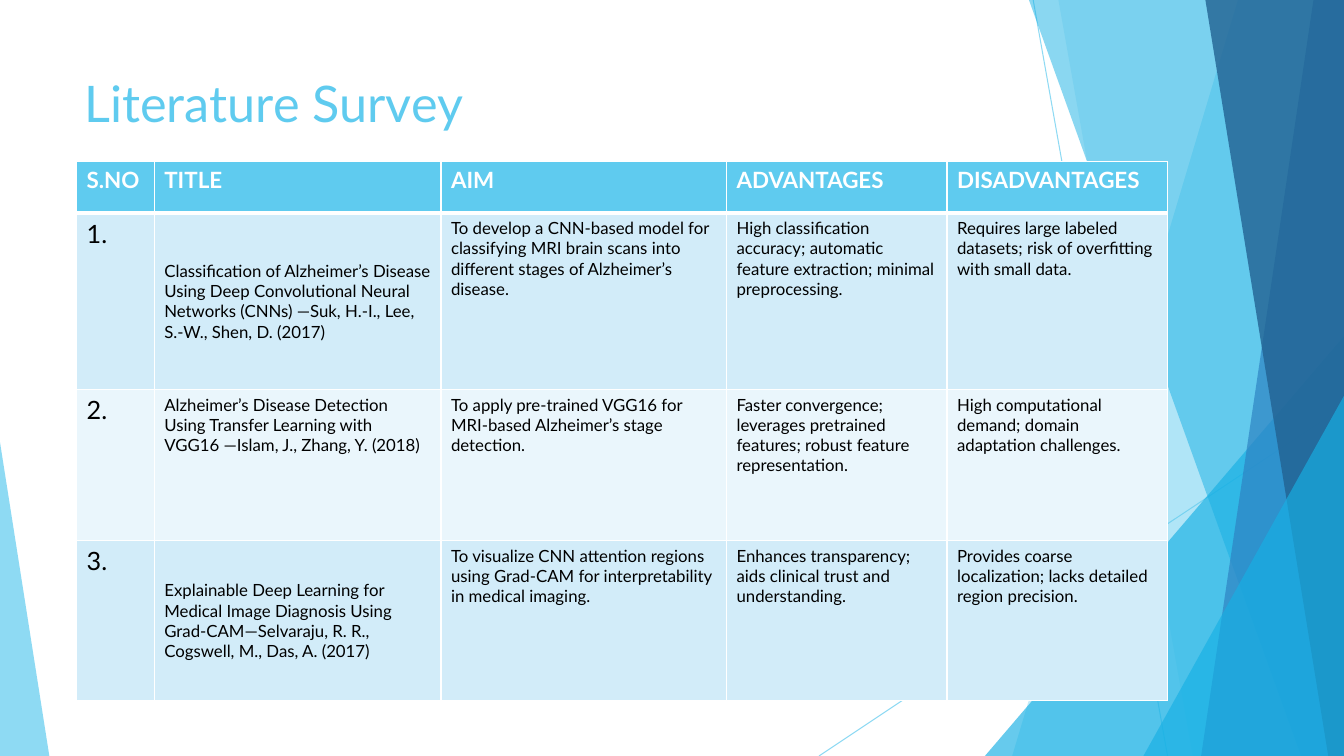
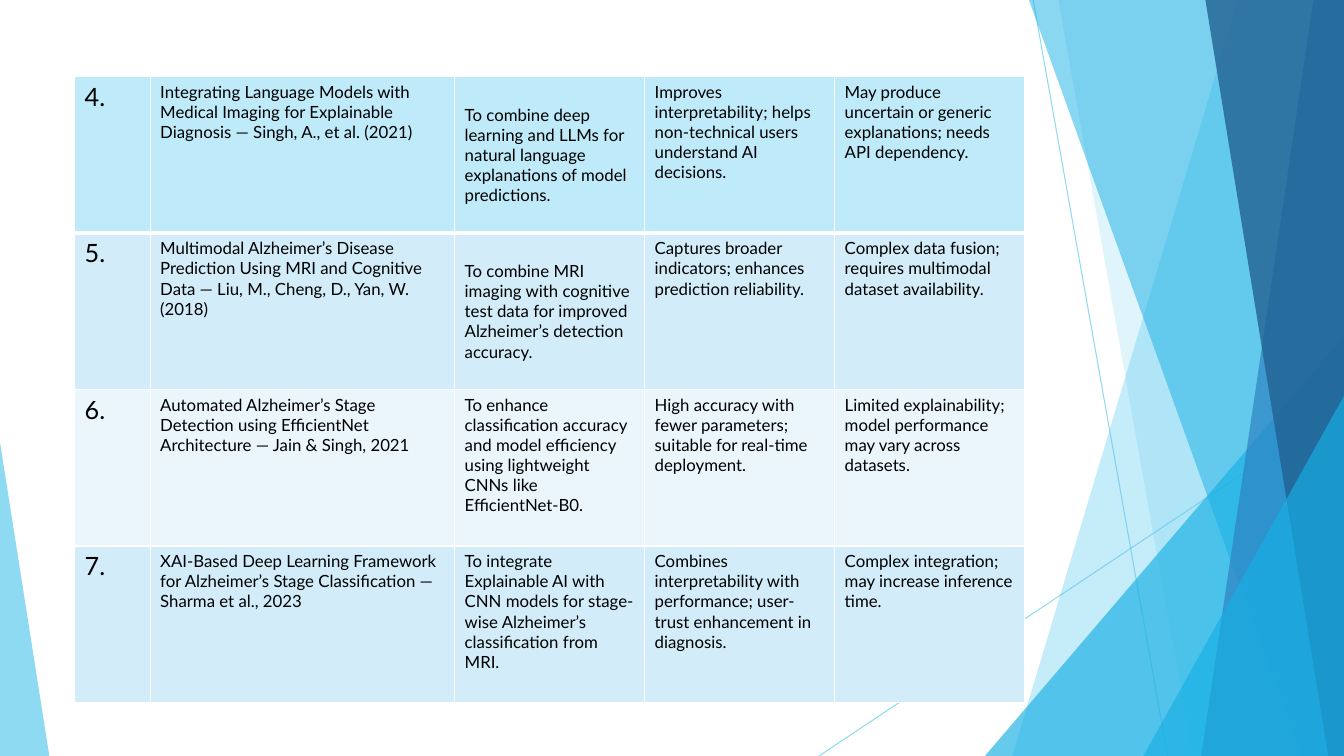
from dataclasses import dataclass
from typing import Optional

from lxml.etree import SubElement
from pptx import Presentation
from pptx.dml.color import RGBColor
from pptx.enum.shapes import MSO_CONNECTOR as Connector, MSO_SHAPE as Shape
from pptx.enum.text import MSO_ANCHOR as Anchor
from pptx.oxml.ns import qn
from pptx.util import Pt

# Shared measures, colours and text formats
EMU_PER_PX = 9525
WIDTH, HEIGHT = 1280, 720
SKY, CYAN, BLUE, NAVY = "5FCBEF", "17B0E4", "2E83C3", "226292"
WHITE, BLACK = "FFFFFF", "000000"
BAND_DARK, BAND_LIGHT, BAND_FIRST = "D2ECF9", "EAF6FC", "BFEAF9"
FONT = "Lato"
TITLE_FORMAT = {"name": FONT, "size": Pt(36), "bold": False}
HEADER_FORMAT = {"name": FONT, "size": Pt(16), "bold": True}
NUMBER_FORMAT = {"name": FONT, "size": Pt(18), "bold": False}
BODY_FORMAT = {"name": FONT, "size": Pt(12), "bold": False}


@dataclass(frozen=True)
class Ray:
    start: tuple[int, int]
    end: tuple[int, int]


@dataclass(frozen=True)
class Panel:
    """Full-height panel at the right edge, with one slanted side."""
    top_x: int
    bottom_x: int
    color: str
    opacity: int


@dataclass(frozen=True)
class Wedge:
    """Right-angled triangle standing on the bottom edge."""
    left: int
    top: int
    width: int
    apex: float
    color: str
    opacity: int


@dataclass(frozen=True)
class Row:
    texts: tuple[str, ...]
    fill: str
    height: int
    header: bool = False
    middle_column: Optional[int] = None


@dataclass(frozen=True)
class Survey:
    left: int
    top: int
    columns: tuple[int, ...]
    rows: tuple[Row, ...]


# Backdrop, from back to front
RAYS = (Ray((984, 0), (1112, HEIGHT)), Ray((WIDTH, 387), (780, HEIGHT)))
BACKDROP = (
    Panel(1179, 964, SKY, 36),
    Panel(1008, 1136, SKY, 20),
    Wedge(938, 320, 342, 1, CYAN, 66),
    Panel(980, 1239, CYAN, 50),
    Panel(1251, 1144, BLUE, 70),
    Panel(1148, 1265, NAVY, 80),
    Wedge(1089, 377, 191, 1, CYAN, 66),
    Wedge(0, 421, 47, 0, SKY, 70),
)

# Table contents
FIRST_SURVEY = Survey(73, 154, (74, 273, 272, 210, 210), (
    Row(("S.NO", "TITLE", "AIM", "ADVANTAGES", "DISADVANTAGES"), SKY, 49, header=True),
    Row(("1.",
         "Classification of Alzheimer’s Disease Using Deep Convolutional Neural Networks "
         "(CNNs) —Suk, H.-I., Lee, S.-W., Shen, D. (2017)",
         "To develop a CNN-based model for classifying MRI brain scans into different "
         "stages of Alzheimer’s disease.",
         "High classification accuracy; automatic feature extraction; minimal preprocessing.",
         "Requires large labeled datasets; risk of overfitting with small data."),
        BAND_DARK, 168, middle_column=1),
    Row(("2.",
         "Alzheimer’s Disease Detection Using Transfer Learning with VGG16 "
         "—Islam, J., Zhang, Y. (2018)",
         "To apply pre-trained VGG16 for MRI-based Alzheimer’s stage detection.",
         "Faster convergence; leverages pretrained features; robust feature representation.",
         "High computational demand; domain adaptation challenges."),
        BAND_LIGHT, 144),
    Row(("3.",
         "Explainable Deep Learning for Medical Image Diagnosis Using "
         "Grad-CAM—Selvaraju, R. R., Cogswell, M., Das, A. (2017)",
         "To visualize CNN attention regions using Grad-CAM for interpretability "
         "in medical imaging.",
         "Enhances transparency; aids clinical trust and understanding.",
         "Provides coarse localization; lacks detailed region precision."),
        BAND_DARK, 152, middle_column=1),
))
SECOND_SURVEY = Survey(71, 73, (72, 290, 181, 181, 181), (
    Row(("4.",
         "Integrating Language Models with Medical Imaging for Explainable Diagnosis "
         "— Singh, A., et al. (2021)",
         "To combine deep learning and LLMs for natural language explanations of "
         "model predictions.",
         "Improves interpretability; helps non-technical users understand AI decisions.",
         "May produce uncertain or generic explanations; needs API dependency."),
        BAND_FIRST, 149, middle_column=2),
    Row(("5.",
         "Multimodal Alzheimer’s Disease Prediction Using MRI and Cognitive Data "
         "— Liu, M., Cheng, D., Yan, W. (2018)",
         "To combine MRI imaging with cognitive test data for improved Alzheimer’s "
         "detection accuracy.",
         "Captures broader indicators; enhances prediction reliability.",
         "Complex data fusion; requires multimodal dataset availability."),
        BAND_DARK, 149, middle_column=2),
    Row(("6.",
         "Automated Alzheimer’s Stage Detection using EfficientNet Architecture "
         "— Jain & Singh, 2021",
         "To enhance classification accuracy and model efficiency using lightweight "
         "CNNs like EfficientNet-B0.",
         "High accuracy with fewer parameters; suitable for real-time deployment.",
         "Limited explainability; model performance may vary across datasets."),
        BAND_LIGHT, 149),
    Row(("7.",
         "XAI-Based Deep Learning Framework for Alzheimer’s Stage Classification "
         "—Sharma et al., 2023",
         "To integrate Explainable AI with CNN models for stage-wise Alzheimer’s "
         "classification from MRI.",
         "Combines interpretability with performance; user-trust enhancement in diagnosis.",
         "Complex integration; may increase inference time."),
        BAND_DARK, 149),
))


# Helpers
def px(*lengths: int) -> list[int]:
    return [length * EMU_PER_PX for length in lengths]


def rgb(color: str) -> RGBColor:
    return RGBColor.from_string(color)


def set_opacity(shape, percent: int) -> None:
    for color in shape.element.spPr.iter(qn("a:srgbClr")):
        SubElement(color, qn("a:alpha"), val=str(percent * 1000))


def write(frame, text: str, text_format: dict, color: str) -> None:
    run = frame.paragraphs[0].add_run()
    run.text = text
    for name, value in text_format.items():
        setattr(run.font, name, value)
    run.font.color.rgb = rgb(color)


def set_borders(cell, top: int, bottom: int) -> None:
    properties = cell._tc.get_or_add_tcPr()
    widths = {"lnL": 1, "lnR": 1, "lnT": top, "lnB": bottom}
    for position, (tag, width) in enumerate(widths.items()):
        line = SubElement(properties, qn(f"a:{tag}"), w=str(Pt(width)))
        fill = SubElement(line, qn("a:solidFill"))
        SubElement(fill, qn("a:srgbClr"), val=WHITE)
        properties.insert(position, line)


# Slide parts
def draw_ray(slide, ray: Ray) -> None:
    connector = slide.shapes.add_connector(Connector.STRAIGHT, *px(*ray.start, *ray.end))
    connector.line.color.rgb = rgb(SKY)
    connector.line.width = Pt(0.75)
    set_opacity(connector, 70)
    SubElement(connector.element.spPr, qn("a:effectLst"))


def draw_backdrop(slide) -> None:
    for ray in RAYS:
        draw_ray(slide, ray)
    for part in BACKDROP:
        if isinstance(part, Panel):
            builder = slide.shapes.build_freeform(part.top_x, 0, scale=EMU_PER_PX)
            builder.add_line_segments(
                [(WIDTH, 0), (WIDTH, HEIGHT), (part.bottom_x, HEIGHT)], close=True)
            shape = builder.convert_to_shape()
        else:
            shape = slide.shapes.add_shape(
                Shape.ISOSCELES_TRIANGLE,
                *px(part.left, part.top, part.width, HEIGHT - part.top))
            shape.adjustments[0] = part.apex
        shape.shadow.inherit = False
        shape.fill.solid()
        shape.fill.fore_color.rgb = rgb(part.color)
        shape.line.fill.background()
        set_opacity(shape, part.opacity)


def draw_title(slide, text: str) -> None:
    frame = slide.shapes.add_textbox(*px(71, 64, 902, 138)).text_frame
    frame.word_wrap = True
    write(frame, text, TITLE_FORMAT, SKY)


def draw_survey(slide, survey: Survey) -> None:
    height = sum(row.height for row in survey.rows)
    table = slide.shapes.add_table(
        len(survey.rows), len(survey.columns),
        *px(survey.left, survey.top, sum(survey.columns), height)).table
    table.first_row = table.horz_banding = False
    for column, width in zip(table.columns, px(*survey.columns)):
        column.width = width
    for row_index, row in enumerate(survey.rows):
        table.rows[row_index].height = px(row.height)[0]
        for column_index, text in enumerate(row.texts):
            cell = table.cell(row_index, column_index)
            cell.fill.solid()
            cell.fill.fore_color.rgb = rgb(row.fill)
            middle = column_index == row.middle_column
            cell.vertical_anchor = Anchor.MIDDLE if middle else Anchor.TOP
            # A thick rule divides the first row from the rest
            set_borders(cell, top=3 if row_index == 1 else 1,
                        bottom=3 if row_index == 0 else 1)
            if row.header:
                write(cell.text_frame, text, HEADER_FORMAT, WHITE)
            else:
                text_format = BODY_FORMAT if column_index else NUMBER_FORMAT
                write(cell.text_frame, text, text_format, BLACK)


def main() -> None:
    presentation = Presentation()
    presentation.slide_width, presentation.slide_height = px(WIDTH, HEIGHT)
    for title, survey in (("Literature Survey", FIRST_SURVEY), (None, SECOND_SURVEY)):
        slide = presentation.slides.add_slide(presentation.slide_layouts[6])
        draw_backdrop(slide)
        if title:
            draw_title(slide, title)
        draw_survey(slide, survey)
    presentation.save("out.pptx")


if __name__ == "__main__":
    main()
